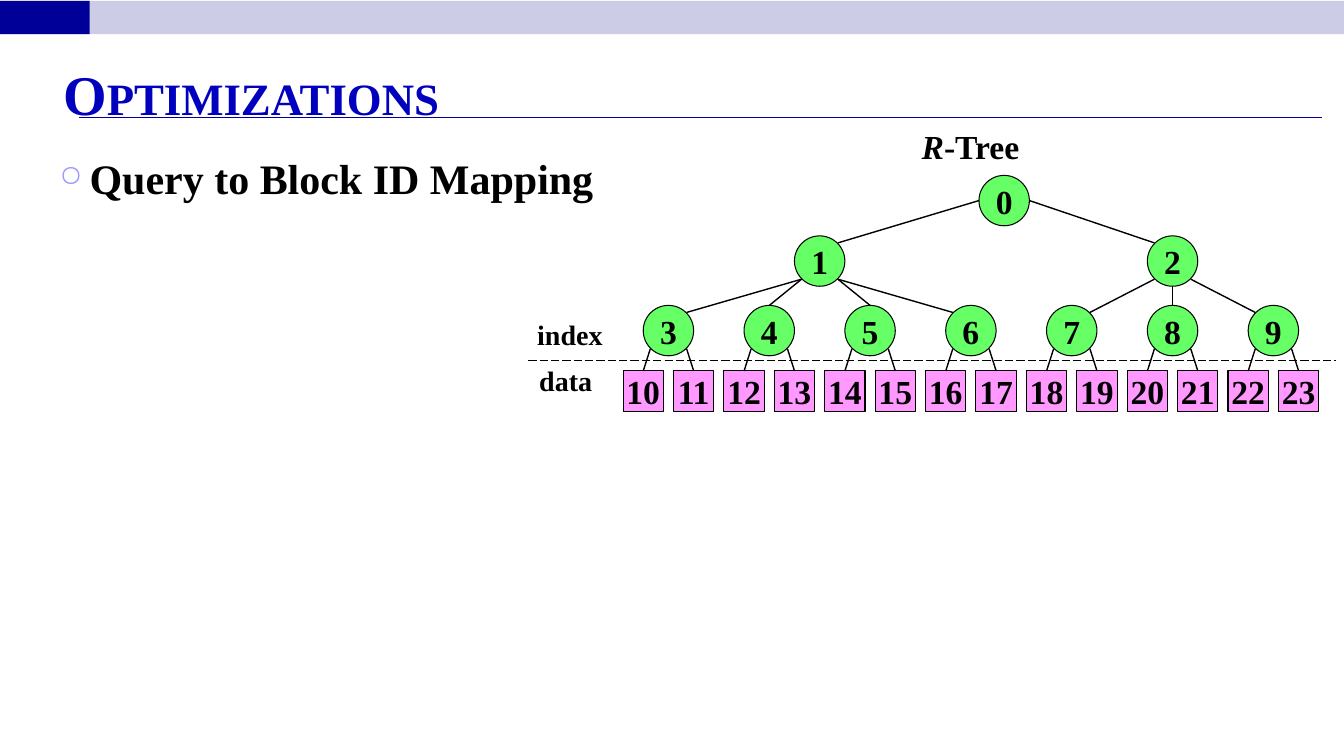
import lxml.etree
import pptx
import pptx.util
import pptx.dml.color
import pptx.enum.dml
import pptx.enum.shapes
import pptx.enum.text
import pptx.oxml.ns

Inches = pptx.util.Inches
Pt = pptx.util.Pt
SHAPE = pptx.enum.shapes.MSO_SHAPE
ALIGN = pptx.enum.text.PP_ALIGN
ANCHOR = pptx.enum.text.MSO_ANCHOR

BLACK, WHITE, NAVY, TITLE_BLUE = "000000", "FFFFFF", "000099", "0000BE"
LAVENDER, BULLET_BLUE = "CCCCE6", "9999FF"
INDEX_GREEN, DATA_PINK = "66FF66", "FF99FF"
NODE, BLOCK = 0.5, 0.4
DIAG = 0.18

# Offsets from a node centre to the points on its rim where edges attach
RIM = {"N": (0, -NODE / 2), "S": (0, NODE / 2), "W": (-NODE / 2, 0), "E": (NODE / 2, 0),
       "NW": (-DIAG, -DIAG), "NE": (DIAG, -DIAG), "SW": (-DIAG, DIAG), "SE": (DIAG, DIAG)}

# parent, side of parent, child, side of child
EDGES = [(0, "W", 1, "NE"), (0, "E", 2, "NW"),
         (1, "SW", 3, "NE"), (1, "SW", 4, "N"), (1, "SE", 5, "N"), (1, "SE", 6, "NW"),
         (2, "SW", 7, "NE"), (2, "S", 8, "N"), (2, "SE", 9, "NW")]


def rgb(color):
    return pptx.dml.color.RGBColor.from_string(color)


def add_xml(parent, tag, **attributes):
    return lxml.etree.SubElement(parent, pptx.oxml.ns.qn(tag), **attributes)


class Deck:
    font = "Times New Roman"

    def __init__(self, prs):
        self.s = prs.slides.add_slide(prs.slide_layouts[6])

    def run(self, p, text, size, color=BLACK, italic=False):
        r = p.add_run()
        r.text = text
        r.font.name, r.font.size = self.font, Pt(size)
        r.font.bold, r.font.italic = True, italic
        r.font.color.rgb = rgb(color)
        return r

    def shape(self, kind, x, y, w, h, fill=None, line=None):
        sp = self.s.shapes.add_shape(kind, Inches(x), Inches(y), Inches(w), Inches(h))
        sp.shadow.inherit = False
        if fill:
            sp.fill.solid()
            sp.fill.fore_color.rgb = rgb(fill)
        else:
            sp.fill.background()
        if line:
            sp.line.color.rgb = rgb(line)
            sp.line.width = Pt(0.75)
        else:
            sp.line.fill.background()
        return sp

    def numbered(self, kind, center, size, fill, number):
        """Draw a tree node with its number in the middle."""
        x, y = center
        sp = self.shape(kind, x - size / 2, y - size / 2, size, size, fill, BLACK)
        tf = sp.text_frame
        tf.margin_left = tf.margin_right = tf.margin_top = tf.margin_bottom = 0
        tf.word_wrap = False
        tf.vertical_anchor = ANCHOR.MIDDLE
        p = tf.paragraphs[0]
        p.alignment = ALIGN.CENTER
        self.run(p, str(number), 24)

    def text(self, x, y, w, h, text, size, color=BLACK, wrap=True):
        tb = self.s.shapes.add_textbox(Inches(x), Inches(y), Inches(w), Inches(h))
        tf = tb.text_frame
        tf.word_wrap = wrap
        r = self.run(tf.paragraphs[0], text, size, color)
        return tf, r

    def line(self, start, end, color=BLACK, width=1.0, dash=None):
        cn = self.s.shapes.add_connector(
            pptx.enum.shapes.MSO_CONNECTOR.STRAIGHT, *map(Inches, start + end))
        cn.line.color.rgb = rgb(color)
        cn.line.width = Pt(width)
        if dash:
            cn.line.dash_style = dash
        add_xml(cn._element.spPr, "a:effectLst")

    def bullet(self, p, char, color, percent, indent):
        pPr = p._p.get_or_add_pPr()
        pPr.set("marL", str(Inches(indent)))
        pPr.set("indent", str(-Inches(indent)))
        add_xml(add_xml(pPr, "a:buClr"), "a:srgbClr", val=color)
        add_xml(pPr, "a:buSzPct", val=str(percent * 1000))
        add_xml(pPr, "a:buChar", char=char)


def draw_frame(deck):
    deck.shape(SHAPE.RECTANGLE, 0, 0.01, 13.33, 0.33, LAVENDER)
    deck.shape(SHAPE.RECTANGLE, 0, 0.01, 0.89, 0.33, NAVY)
    deck.line((0.78, 1.17), (13.11, 1.17), NAVY, 0.75)
    tf, r = deck.text(0.53, 0.52, 12.25, 0.74, "Optimizations", 40, TITLE_BLUE)
    tf.vertical_anchor = ANCHOR.BOTTOM
    tf.margin_bottom = 0
    r._r.get_or_add_rPr().set("cap", "small")
    tf, r = deck.text(0.49, 1.46, 12.25, 5.48, "Query to Block ID Mapping", 30)
    p = tf.paragraphs[0]
    p.space_before = Pt(6)
    deck.bullet(p, "○", BULLET_BLUE, 70, 0.3)


def draw_tree(deck):
    heading = deck.shape(SHAPE.RECTANGLE, 9.04, 1.2, 1.17, 0.5, line=WHITE)
    tf = heading.text_frame
    tf.word_wrap = False
    tf.vertical_anchor = ANCHOR.TOP
    p = tf.paragraphs[0]
    p.alignment = ALIGN.CENTER
    deck.run(p, "R", 24, italic=True)
    deck.run(p, "-Tree", 24)

    deck.line((5.24, 3.58), (13.25, 3.58), width=0.75,
              dash=pptx.enum.dml.MSO_LINE.LONG_DASH)
    deck.text(5.23, 3.1, 0.86, 0.44, "index", 20, wrap=False)
    deck.text(5.25, 3.56, 0.73, 0.44, "data", 20, wrap=False)

    nodes = [(9.96, 1.99), (8.13, 2.59), (11.63, 2.59)]
    nodes += [(6.63 + i, 3.28) for i in range(7)]
    blocks = [(6.38 + 0.5 * i, 3.88) for i in range(14)]
    for number, center in enumerate(nodes):
        deck.numbered(SHAPE.OVAL, center, NODE, INDEX_GREEN, number)
    for number, center in enumerate(blocks, len(nodes)):
        deck.numbered(SHAPE.RECTANGLE, center, BLOCK, DATA_PINK, number)

    def rim(node, side):
        return tuple(c + d for c, d in zip(nodes[node], RIM[side]))

    for parent, out, child, into in EDGES:
        deck.line(rim(parent, out), rim(child, into))
    for i, (x, y) in enumerate(blocks):
        deck.line((x, y - BLOCK / 2), rim(3 + i // 2, ("SW", "SE")[i % 2]))


def main():
    prs = pptx.Presentation()
    prs.slide_width, prs.slide_height = Inches(13.33), Inches(7.5)
    deck = Deck(prs)
    draw_frame(deck)
    draw_tree(deck)
    prs.save("out.pptx")


if __name__ == "__main__":
    main()
